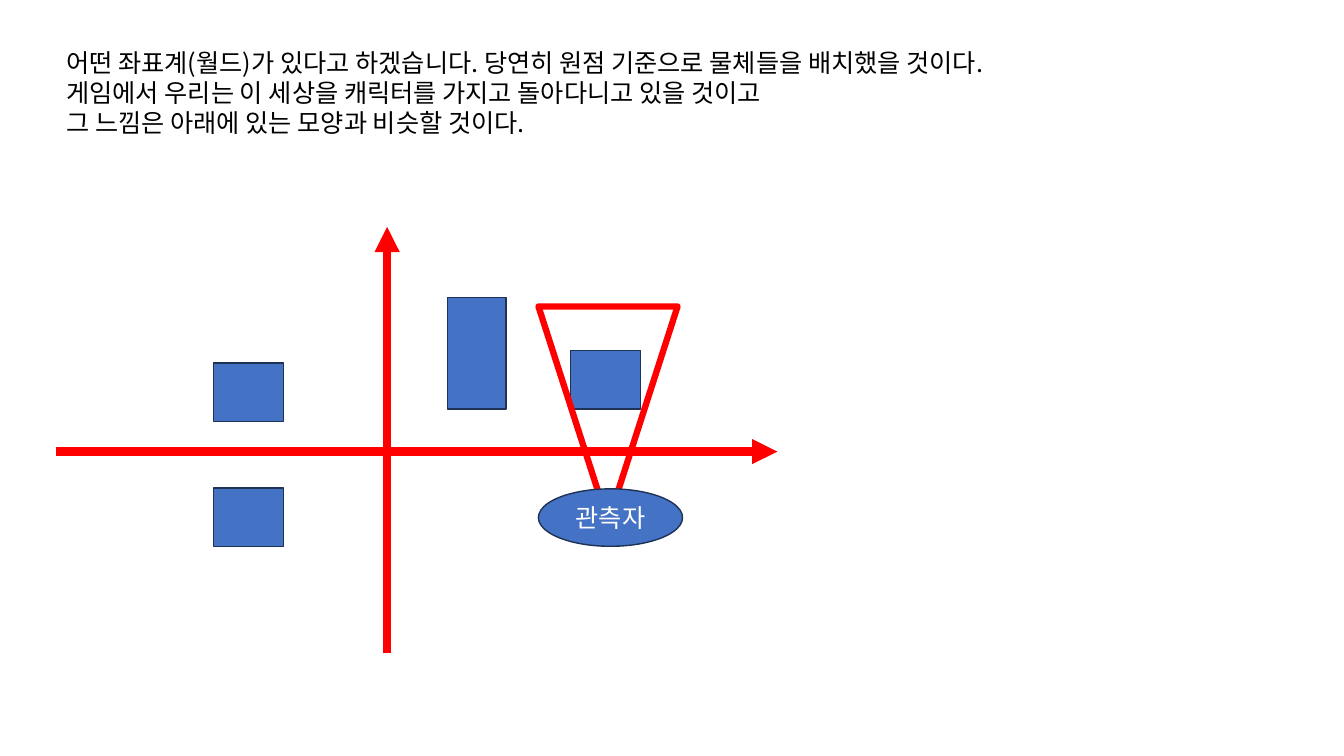
from lxml.etree import SubElement
from pptx import Presentation
from pptx.dml.color import RGBColor
from pptx.enum.shapes import MSO_CONNECTOR, MSO_SHAPE
from pptx.enum.text import MSO_ANCHOR, MSO_AUTO_SIZE, PP_ALIGN
from pptx.oxml.ns import qn
from pptx.util import Inches, Pt

COLORS = {"text": "000000", "label": "FFFFFF", "object": "4472C4",
          "outline": "1E3256", "axis": "FF0000"}


class SlideBuilder:
    font_name = "Noto Sans CJK KR"
    font_size = 18

    def __init__(self, slide):
        self.slide = slide

    def color(self, name):
        return RGBColor.from_string(COLORS[name])

    def add_run(self, paragraph, text, color):
        run = paragraph.add_run()
        run.text = text
        run.font.size = Pt(self.font_size)
        run.font.color.rgb = self.color(color)
        run.font.name = self.font_name
        east_asian = SubElement(run.font._element, qn("a:ea"))
        east_asian.set("typeface", self.font_name)

    def text(self, left, top, width, height, lines):
        box = self.slide.shapes.add_textbox(*map(Inches, (left, top, width, height)))
        frame = box.text_frame
        frame.word_wrap = True
        frame.auto_size = MSO_AUTO_SIZE.SHAPE_TO_FIT_TEXT
        for index, line in enumerate(lines):
            paragraph = frame.add_paragraph() if index else frame.paragraphs[0]
            self.add_run(paragraph, line, "text")

    def group(self):
        return self.slide.shapes.add_group_shape()

    def shape(self, group, kind, left, top, width, height,
              fill="object", line="outline", line_width=1, label=None):
        shape = group.shapes.add_shape(kind, *map(Inches, (left, top, width, height)))
        shape.shadow.inherit = False
        if fill:
            shape.fill.solid()
            shape.fill.fore_color.rgb = self.color(fill)
        else:
            shape.fill.background()
        shape.line.color.rgb = self.color(line)
        shape.line.width = Pt(line_width)
        if label:
            frame = shape.text_frame
            frame.vertical_anchor = MSO_ANCHOR.MIDDLE
            frame.paragraphs[0].alignment = PP_ALIGN.CENTER
            self.add_run(frame.paragraphs[0], label, "label")
        return shape

    def arrow(self, start_x, start_y, end_x, end_y):
        connector = self.slide.shapes.add_connector(
            MSO_CONNECTOR.STRAIGHT, *map(Inches, (start_x, start_y, end_x, end_y)))
        connector.line.color.rgb = self.color("axis")
        connector.line.width = Pt(6)
        SubElement(connector.line._get_or_add_ln(), qn("a:tailEnd")).set("type", "triangle")
        SubElement(connector._element.spPr, qn("a:effectLst"))


def main():
    presentation = Presentation()
    presentation.slide_width = Inches(13.33)
    presentation.slide_height = Inches(7.5)
    slide = presentation.slides.add_slide(presentation.slide_layouts[6])
    builder = SlideBuilder(slide)

    # Introduction
    builder.text(0.56, 0.42, 12.41, 1.01, [
        "어떤 좌표계(월드)가 있다고 하겠습니다. 당연히 원점 기준으로 물체들을 배치했을 것이다.",
        "게임에서 우리는 이 세상을 캐릭터를 가지고 돌아다니고 있을 것이고",
        "그 느낌은 아래에 있는 모양과 비슷할 것이다.",
    ])

    # Objects placed in the world
    world_objects = builder.group()
    builder.shape(world_objects, MSO_SHAPE.RECTANGLE, 4.44, 2.95, 0.58, 1.11)
    for left, top in ((5.66, 3.48), (2.12, 4.84), (2.12, 3.6)):
        builder.shape(world_objects, MSO_SHAPE.RECTANGLE, left, top, 0.69, 0.58)

    # Axes
    builder.arrow(3.84, 6.48, 3.84, 2.25)
    builder.arrow(0.56, 4.48, 7.71, 4.48)

    # Observer and field of view
    observer = builder.group()
    view = builder.shape(observer, MSO_SHAPE.ISOSCELES_TRIANGLE, 5.34, 3.04, 1.38, 2.14,
                         fill=None, line="axis", line_width=4.5)
    view.rotation = 180
    builder.shape(observer, MSO_SHAPE.OVAL, 5.34, 4.85, 1.43, 0.57, label="관측자")

    presentation.save("out.pptx")


if __name__ == "__main__":
    main()
